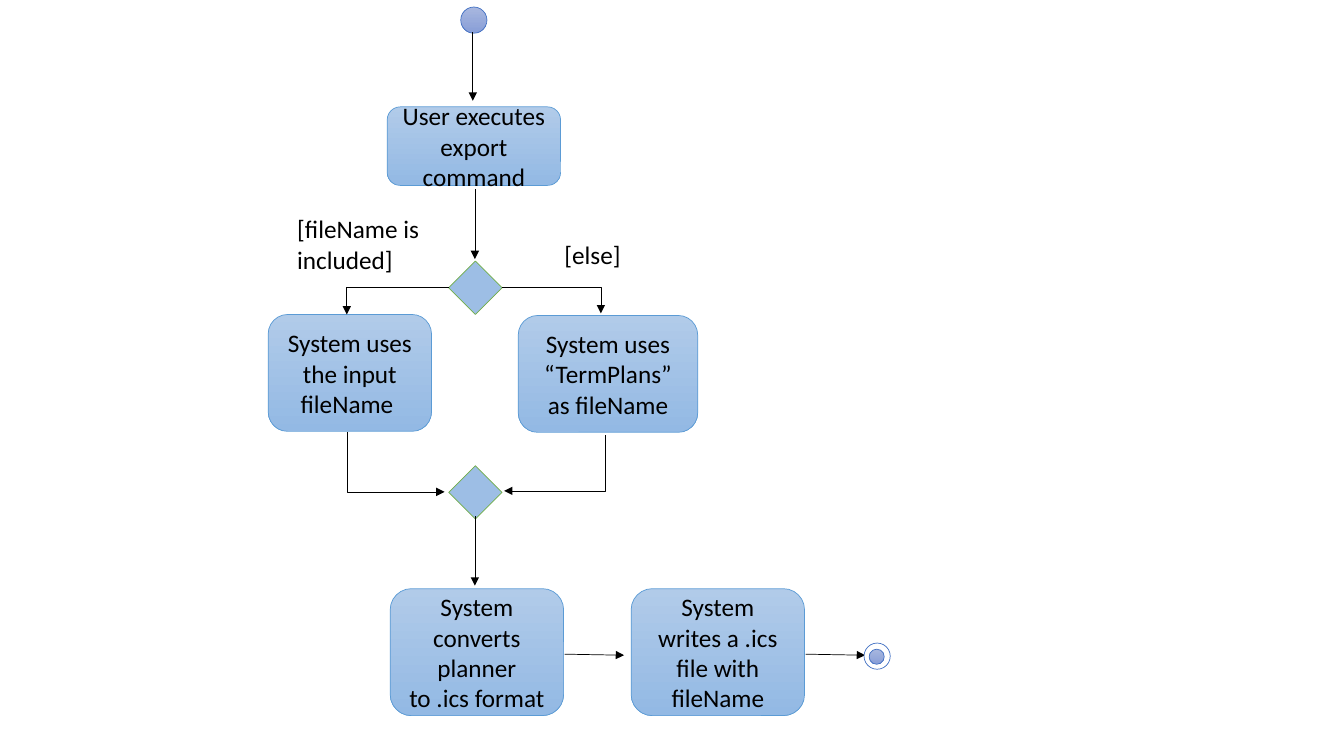
from pptx import Presentation
from pptx.dml.color import RGBColor
from pptx.enum.shapes import MSO_CONNECTOR, MSO_SHAPE
from pptx.enum.text import MSO_ANCHOR, PP_ALIGN
from pptx.oxml.ns import qn
from pptx.util import Inches, Pt
from lxml import etree

OVAL, ROUND, DIAMOND = MSO_SHAPE.OVAL, MSO_SHAPE.ROUNDED_RECTANGLE, MSO_SHAPE.DIAMOND
STRAIGHT, ELBOW = MSO_CONNECTOR.STRAIGHT, MSO_CONNECTOR.ELBOW
LEFT, CENTER = PP_ALIGN.LEFT, PP_ALIGN.CENTER
TOP, MIDDLE = MSO_ANCHOR.TOP, MSO_ANCHOR.MIDDLE

BLACK, WHITE = "000000", "FFFFFF"
STEP = ("B1CBE9", "93B9E4")
DOT = ("A8B7DF", "889ED7")
STEP_LINE, DOT_LINE, GATE_LINE = "5B9BD5", "4472C4", "70AD47"
GATE = "9DBEE5"
NBSP = chr(160)  # keeps "to .ics" on one line
DOT_SIZE, GATE_SIZE, STEP_W = 0.26, 0.53, 1.72


def color(code):
    return RGBColor.from_string(code)


def write(shape, text, size=18, font="Calibri", ink=BLACK, align=LEFT, anchor=TOP):
    frame = shape.text_frame
    frame.word_wrap = True
    frame.vertical_anchor = anchor
    para = frame.paragraphs[0]
    para.alignment = align
    run = para.add_run()
    run.text = text
    run.font.size = Pt(size)
    run.font.name = font
    run.font.color.rgb = color(ink)


def node(slide, kind, x, y, w, h, fill, edge):
    """Add a shape; a pair of fills makes a gradient from top to bottom."""
    shape = slide.shapes.add_shape(kind, Inches(x), Inches(y), Inches(w), Inches(h))
    shape.shadow.inherit = False
    if isinstance(fill, tuple):
        shape.fill.gradient()
        shape.fill.gradient_angle = 270
        for stop, code in zip(shape.fill.gradient_stops, fill):
            stop.color.rgb = color(code)
    else:
        shape.fill.solid()
        shape.fill.fore_color.rgb = color(fill)
    shape.line.color.rgb = color(edge)
    shape.line.width = Pt(0.5)
    return shape


def step(slide, text, x, y, w, h):
    shape = node(slide, ROUND, x, y, w, h, STEP, STEP_LINE)
    write(shape, text, align=CENTER, anchor=MIDDLE)


def gate(slide, x, y):
    node(slide, DIAMOND, x, y, GATE_SIZE, GATE_SIZE, GATE, GATE_LINE)


def label(slide, text, x, y, w, h):
    box = slide.shapes.add_textbox(Inches(x), Inches(y), Inches(w), Inches(h))
    write(box, text)


def arrow(slide, x1, y1, x2, y2, kind=STRAIGHT, tip="tailEnd"):
    """Add an arrow; an elbow leaves its first point sideways."""
    line = slide.shapes.add_connector(kind, Inches(x1), Inches(y1), Inches(x2), Inches(y2))
    line.line.color.rgb = color(BLACK)
    line.line.width = Pt(0.5)
    props = line.element.spPr
    if kind == ELBOW:
        props.find(qn("a:prstGeom")).set("prst", "bentConnector2")
    etree.SubElement(props.find(qn("a:ln")), qn(f"a:{tip}")).set("type", "triangle")
    etree.SubElement(props, qn("a:effectLst"))


def start(slide, x, y):
    """Start dot and first step."""
    node(slide, OVAL, x + 0.73, y, DOT_SIZE, DOT_SIZE, DOT, DOT_LINE)
    arrow(slide, x + 0.85, y + 0.25, x + 0.85, y + 0.93)
    step(slide, "User executes export command", x, y + 0.99, STEP_W, 0.78)
    arrow(slide, x + 0.87, y + 1.81, x + 0.87, y + 2.5)


def branch(slide, x, y):
    """Two choices between a split and a merge."""
    mid = x + 1.79
    split, merge = y + 0.52, y + 2.55
    left, right = x + 0.79, x + 3.3
    label(slide, "[fileName is included]", x + 0.19, y, 1.7, 0.71)
    label(slide, "[else]", x + 2.84, y + 0.26, 0.79, 0.4)
    for top in (split, merge):
        gate(slide, mid, top)
    step(slide, "System uses the input fileName ", x, y + 1.05, 1.62, 1.16)
    step(slide, "System uses “TermPlans” as fileName", x + 2.48, y + 1.06, 1.78, 1.16)

    # Out of the split
    arrow(slide, mid, split + 0.26, x + 0.78, y + 1.05, ELBOW)
    arrow(slide, mid + GATE_SIZE, split + 0.26, right, y + 1.04, ELBOW)
    # Into the merge, drawn from the tip
    arrow(slide, mid - 0.04, merge + 0.26, left, y + 2.22, ELBOW, "headEnd")
    arrow(slide, mid + 0.55, merge + 0.25, right + 0.04, y + 2.25, ELBOW, "headEnd")
    arrow(slide, mid + 0.26, merge + 0.5, mid + 0.26, merge + 1.19)


def finish(slide, x, y):
    """Last two steps and the end mark."""
    texts = (f"System converts planner to{NBSP}.ics format",
             "System writes a .ics file with fileName")
    for i, text in enumerate(texts):
        left = x + i * 2.39
        step(slide, text, left, y, STEP_W, 1.26)
        arrow(slide, left + 1.73, y + 0.65, left + 2.32, y + 0.66)
    node(slide, OVAL, x + 4.7, y + 0.54, DOT_SIZE, DOT_SIZE, WHITE, DOT_LINE)
    node(slide, OVAL, x + 4.75, y + 0.6, 0.15, 0.15, DOT, DOT_LINE)


def main():
    deck = Presentation()
    deck.slide_width, deck.slide_height = Inches(13.33), Inches(7.5)
    slide = deck.slides.add_slide(deck.slide_layouts[6])
    start(slide, 3.84, 0.07)
    branch(slide, 2.66, 2.07)
    finish(slide, 3.87, 5.84)
    deck.save("out.pptx")


if __name__ == "__main__":
    main()
